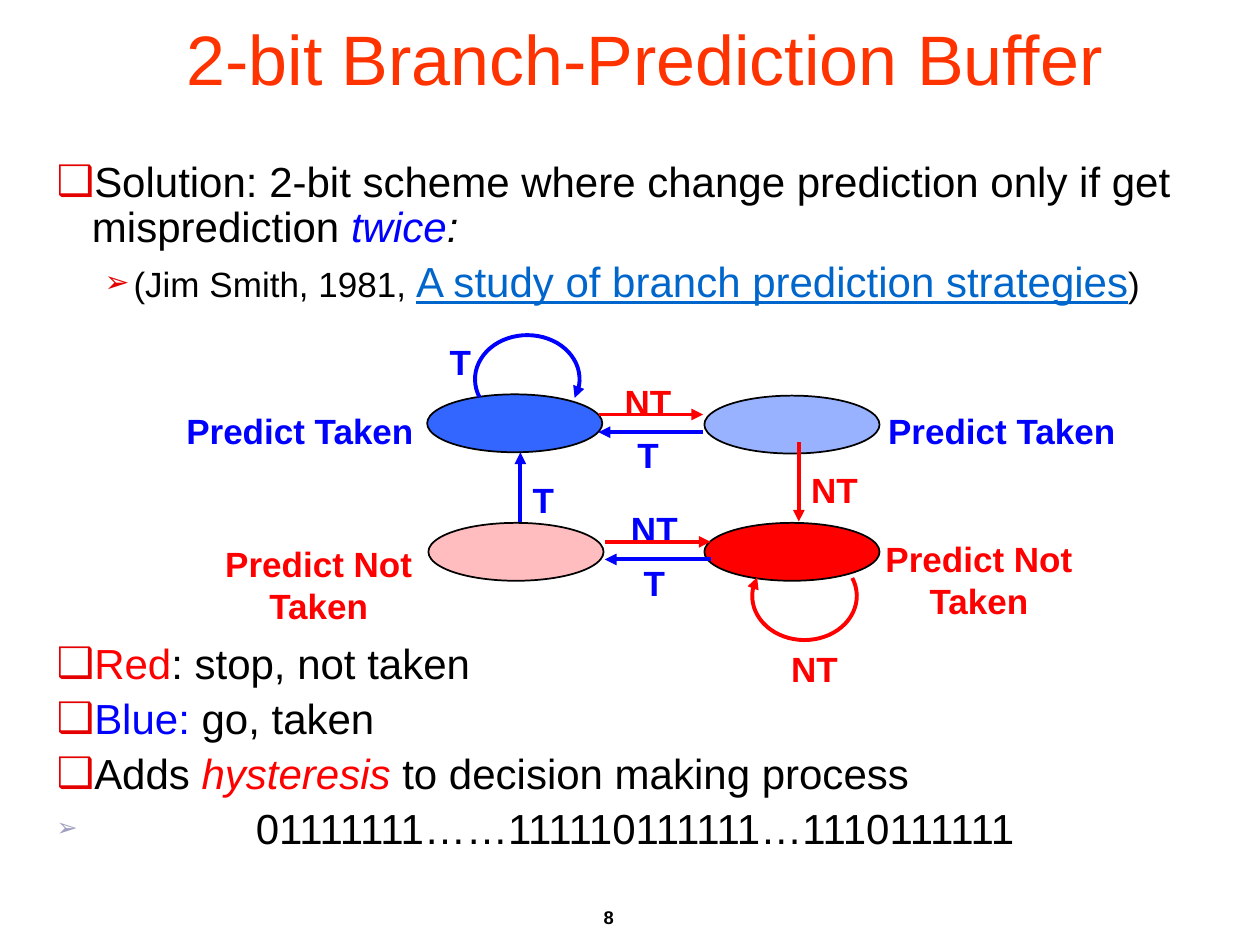
import math

from lxml import etree
from pptx import Presentation, util as u
from pptx.dml.color import RGBColor
from pptx.enum import shapes, text
from pptx.oxml.ns import qn

FONT = "Arial"
BLACK, RED, BLUE = "000000", "FF0000", "0000FF"
BULLET_RED, BULLET_GREY = "E40000", "9F9FBF"


def rgb(value):
    return RGBColor.from_string(value)


class StateSlide:
    """Holds the style and the current slide."""

    def __init__(self, prs):
        self.s = prs.slides.add_slide(prs.slide_layouts[1])

    def place(self, sp, x, y, w, h):
        sp.left, sp.top = u.Inches(x), u.Inches(y)
        sp.width, sp.height = u.Inches(w), u.Inches(h)

    def run(self, p, words, size, color=BLACK, bold=False, italic=False,
            underline=False):
        r = p.add_run()
        r.text = words
        f = r.font
        f.name, f.size, f.color.rgb = FONT, u.Pt(size), rgb(color)
        f.bold, f.italic, f.underline = bold, italic, underline

    def title(self, words, box):
        sp = self.s.shapes.title
        self.place(sp, *box)
        tf = sp.text_frame
        tf.auto_size = text.MSO_AUTO_SIZE.NONE
        tf.vertical_anchor = text.MSO_ANCHOR.MIDDLE
        p = tf.paragraphs[0]
        p.alignment = text.PP_ALIGN.LEFT
        self.run(p, words, 40, "FF3300")

    def body(self, items, box):
        sp = self.s.placeholders[1]
        self.place(sp, *box)
        tf = sp.text_frame
        tf.auto_size = text.MSO_AUTO_SIZE.NONE
        tf.vertical_anchor = text.MSO_ANCHOR.TOP
        for i, (bullet, before, runs) in enumerate(items):
            p = tf.add_paragraph() if i else tf.paragraphs[0]
            p.line_spacing, p.space_before = 0.9, u.Pt(before)
            self.bullet(p, **bullet)
            for words, size, style in runs:
                self.run(p, words, size, **style)

    def bullet(self, p, char, color, margin, hang, level=0, percent=100):
        p.level = level
        pPr = p._p.get_or_add_pPr()
        pPr.set("marL", str(u.Inches(margin)))
        pPr.set("indent", str(-u.Inches(hang)))
        clr = etree.SubElement(pPr, qn("a:buClr"))
        etree.SubElement(clr, qn("a:srgbClr"), val=color)
        etree.SubElement(pPr, qn("a:buSzPct"), val=str(percent * 1000))
        etree.SubElement(pPr, qn("a:buFont"), typeface=FONT)
        etree.SubElement(pPr, qn("a:buChar"), char=char)

    def label(self, lines, x, y, w, h, color, size=20,
              align=text.PP_ALIGN.LEFT):
        sp = self.s.shapes.add_textbox(0, 0, 0, 0)
        self.place(sp, x, y, w, h)
        tf = sp.text_frame
        tf.word_wrap = False
        for i, words in enumerate(lines):
            p = tf.add_paragraph() if i else tf.paragraphs[0]
            p.alignment = align
            self.run(p, words, size, color, bold=True)

    def state(self, x, y, color, alpha=None):
        box = [u.Inches(v) for v in (x, y, 1.39, 0.46)]
        sp = self.s.shapes.add_shape(shapes.MSO_SHAPE.OVAL, *box)
        sp.shadow.inherit = False
        sp.fill.solid()
        sp.fill.fore_color.rgb = rgb(color)
        if alpha:
            clr = sp.element.spPr.find(".//" + qn("a:srgbClr"))
            etree.SubElement(clr, qn("a:alpha"), val=str(alpha * 1000))
        sp.line.color.rgb, sp.line.width = rgb(BLACK), u.Pt(1)

    def arrow_line(self, sp, color):
        sp.line.color.rgb, sp.line.width = rgb(color), u.Pt(2.25)
        ln = sp.element.spPr.find(qn("a:ln"))
        etree.SubElement(ln, qn("a:tailEnd"), type="triangle")

    def arrow(self, x1, y1, x2, y2, color):
        ends = [u.Inches(v) for v in (x1, y1, x2, y2)]
        sp = self.s.shapes.add_connector(shapes.MSO_CONNECTOR.STRAIGHT, *ends)
        self.arrow_line(sp, color)
        etree.SubElement(sp.element.spPr, qn("a:effectLst"))

    def loop(self, cx, cy, start, end, color, steps=40):
        """Draw an open elliptic arc, clockwise between two angles in degrees."""
        points = []
        for i in range(steps + 1):
            a = math.radians(start + (end - start) * i / steps)
            points.append((u.Inches(cx + 0.415 * math.cos(a)),
                           u.Inches(cy + 0.35 * math.sin(a))))
        builder = self.s.shapes.build_freeform(*points[0])
        builder.add_line_segments(points[1:], close=False)
        sp = builder.convert_to_shape()
        sp.shadow.inherit = False
        sp.fill.background()
        self.arrow_line(sp, color)


def main():
    prs = Presentation()
    prs.slide_width, prs.slide_height = u.Inches(10), u.Inches(7.5)
    slide = StateSlide(prs)

    slide.title("2-bit Branch-Prediction Buffer", (1.38, 0, 8.62, 0.91))

    square = dict(char="❑", color=BULLET_RED, margin=0.28, hang=0.28)
    arrow = dict(char="➢", color=BULLET_RED, margin=0.61, hang=0.23,
                 level=1, percent=85)
    bits = dict(char="➢", color=BULLET_GREY, margin=1.58, hang=1.58,
                level=1, percent=60)
    gap, diagram_gap = 5.5, 192
    link = dict(color="0066CC", underline=True)
    slide.body([
        (square, gap, [
            ("Solution: 2-bit scheme where change prediction only if get "
             "misprediction ", 24, {}),
            ("twice", 24, dict(color=BLUE, italic=True)),
            (":", 24, dict(italic=True))]),
        (arrow, gap, [
            ("(Jim Smith, 1981, ", 20, {}),
            ("A study of branch prediction strategies", 24, link),
            (")", 20, {})]),
        (square, diagram_gap, [("Red", 24, dict(color=RED)),
                               (": stop, not taken", 24, {})]),
        (square, gap, [("Blue:", 24, dict(color=BLUE)),
                       (" go, taken", 24, {})]),
        (square, gap, [("Adds ", 24, {}),
                       ("hysteresis", 24, dict(color=RED, italic=True)),
                       (" to decision making process", 24, {})]),
        (bits, gap, [("01111111……111110111111…1110111111", 24, {})]),
    ], (0.35, 1.23, 9.29, 5.96))

    for x, y in ((3.47, 2.65), (4.13, 3.75), (5.01, 4.41), (4.96, 3.39)):
        slide.label(["T"], x, y, 0.37, 0.43, BLUE)
    for x, y, color in ((6.18, 5.09, RED), (4.91, 3.98, BLUE),
                        (4.86, 2.97, RED), (6.34, 3.67, RED)):
        slide.label(["NT"], x, y, 0.57, 0.43, color)
    for x in (1.38, 6.95):
        slide.label(["Predict Taken"], x, 3.2, 2.02, 0.43, BLUE)
    for x, y in ((1.65, 4.26), (6.89, 4.22)):
        slide.label(["Predict Not", "Taken"], x, y, 1.76, 0.76, RED,
                    align=text.PP_ALIGN.CENTER)

    slide.state(3.39, 3.13, "3366FF")
    slide.state(5.59, 3.14, "3366FF", alpha=50)
    slide.state(3.4, 4.15, "FF7C80", alpha=50)
    slide.state(5.59, 4.15, RED)

    slide.loop(4.185, 3.01, 156, 385, BLUE)
    slide.loop(6.385, 4.73, -24, 205, RED)
    for left, right, y in ((4.75, 5.58, 3.29), (4.8, 5.64, 4.3)):
        slide.arrow(left, y, right, y, RED)
        slide.arrow(right, y + 0.14, left, y + 0.14, BLUE)
    slide.arrow(4.13, 4.14, 4.13, 3.59, BLUE)
    slide.arrow(6.34, 3.51, 6.34, 4.14, RED)

    slide.label(["8"], 2.89, 7.14, 2.08, 0.5, BLACK, size=10.5,
                align=text.PP_ALIGN.RIGHT)
    prs.save("out.pptx")


if __name__ == "__main__":
    main()
